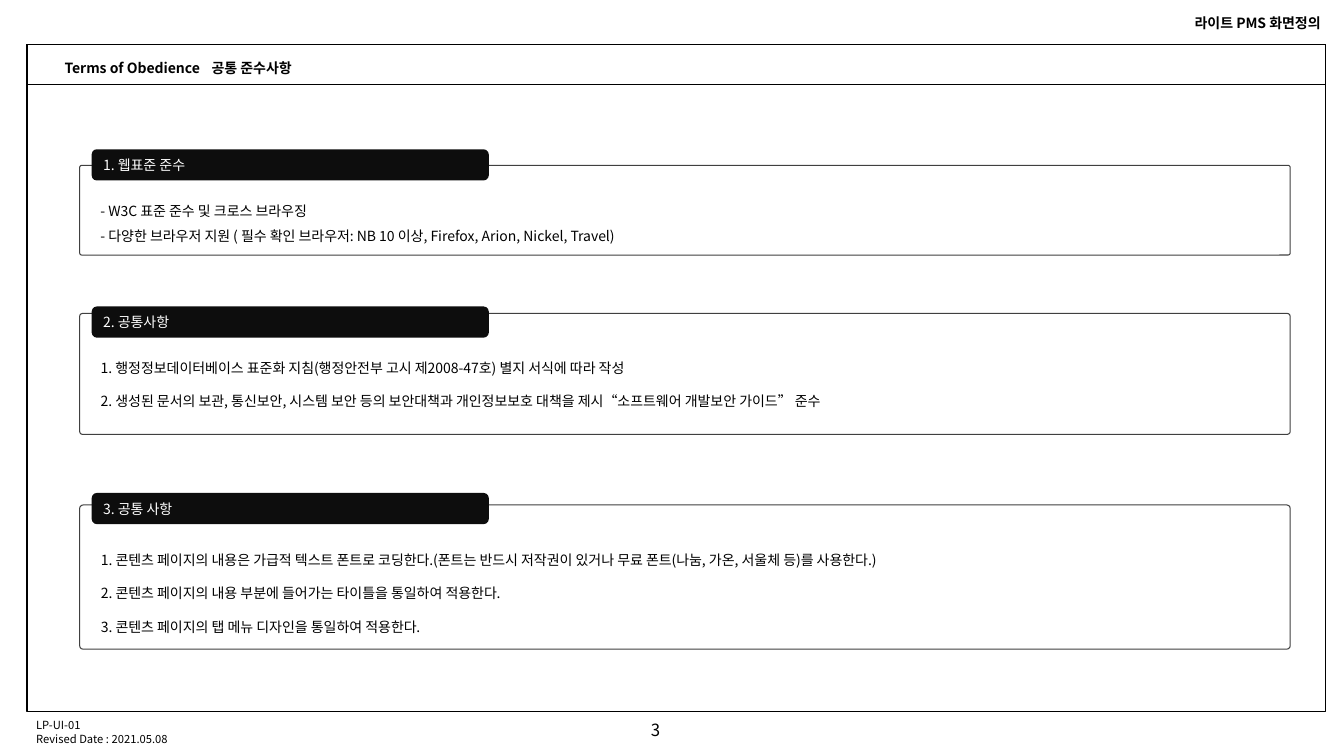
import pptx
import pptx.dml.color
import pptx.enum.shapes
import pptx.enum.text
import pptx.oxml.ns
import pptx.util
from lxml import etree

Pt = pptx.util.Pt
Kind = pptx.enum.shapes.MSO_SHAPE
Align = pptx.enum.text.PP_ALIGN
Anchor = pptx.enum.text.MSO_ANCHOR
qn = pptx.oxml.ns.qn

FACE = "Noto Sans CJK KR"
COLORS = {"ink": "000000", "edge": "404040", "tag": "0D0D0D", "paper": "FFFFFF"}
FLOW = {"word_wrap": True, "auto_size": pptx.enum.text.MSO_AUTO_SIZE.NONE,
        "vertical_anchor": Anchor.TOP, "margin_left": Pt(7.2),
        "margin_right": Pt(7.2), "margin_top": Pt(3.6), "margin_bottom": Pt(3.6)}
INSET = {"margin_left": Pt(14.4), "margin_top": Pt(20.2)}
LOWER = {**INSET, "margin_top": Pt(32.2)}
LABEL = {"word_wrap": False, "vertical_anchor": Anchor.MIDDLE}

PANELS = [
    ("1. 웹표준 준수", 106.6, 118.1, 64.1, INSET, {"line_spacing": 1.5}, 0, [
        "- W3C 표준 준수 및 크로스 브라우징",
        "- 다양한 브라우저 지원 ( 필수 확인 브라우저: NB 10 이상, Firefox, Arion, Nickel, Travel)"]),
    ("2. 공통사항", 218.9, 223.9, 86.4, LOWER, {}, 12, [
        "1. 행정정보데이터베이스 표준화 지침(행정안전부 고시 제2008-47호) 별지 서식에 따라 작성",
        "2. 생성된 문서의 보관, 통신보안, 시스템 보안 등의 보안대책과 개인정보보호 대책을 "
        "제시“소프트웨어 개발보안 가이드” 준수"]),
    ("3. 공통 사항", 352.1, 360.7, 103, INSET, {"line_spacing": 2.0}, 0, [
        "1. 콘텐츠 페이지의 내용은 가급적 텍스트 폰트로 코딩한다."
        "(폰트는 반드시 저작권이 있거나 무료 폰트(나눔, 가온, 서울체 등)를 사용한다.)",
        "2. 콘텐츠 페이지의 내용 부분에 들어가는 타이틀을 통일하여 적용한다.",
        "3. 콘텐츠 페이지의 탭 메뉴 디자인을 통일하여 적용한다."]),
]


def apply(target, values):
    for name, value in values.items():
        setattr(target, name, value)


def color(name):
    return pptx.dml.color.RGBColor.from_string(COLORS[name])


def write(shape, lines, size=10, ink="ink", bold=False, flow=None, para=None, gap=0):
    frame = shape.text_frame
    apply(frame, {**FLOW, **(flow or {})})
    for index, line in enumerate(lines):
        item = frame.paragraphs[0] if index == 0 else frame.add_paragraph()
        apply(item, {"alignment": Align.LEFT, "space_before": Pt(gap if index else 0),
                     **(para or {})})
        run = item.add_run()
        run.text = line
        apply(run.font, {"size": Pt(size), "bold": bold, "name": FACE})
        run.font.color.rgb = color(ink)
        etree.SubElement(run._r.get_or_add_rPr(), qn("a:ea"), typeface=FACE)


def note(slide, area, lines, **style):
    write(slide.shapes.add_textbox(*map(Pt, area)), lines, **style)


def block(slide, kind, area, fill=None, edge=None, width=0, round=None):
    shape = slide.shapes.add_shape(kind, *map(Pt, area))
    shape.shadow.inherit = False
    if round is not None:
        shape.adjustments[0] = round
    if fill:
        shape.fill.solid()
        shape.fill.fore_color.rgb = color(fill)
    else:
        shape.fill.background()
    if edge:
        shape.line.color.rgb = color(edge)
        shape.line.width = Pt(width)
    else:
        shape.line.fill.background()
    return shape


def head(slide, area, text):
    title = slide.shapes.title
    apply(title, dict(zip(("left", "top", "width", "height"), map(Pt, area))))
    write(title, [text], bold=True, para={"line_spacing": 1.0})
    props = title.text_frame.paragraphs[0]._p.get_or_add_pPr()
    tabs = etree.SubElement(props, qn("a:tabLst"))
    etree.SubElement(tabs, qn("a:tab"), pos=str(Pt(105)), algn="l")


def panel(slide, label, top, edge, height, flow, para, gap, lines):
    body = block(slide, Kind.ROUNDED_RECTANGLE, (56.9, edge, 864.7, height),
                 "paper", "edge", round=0.024)
    write(body, lines, flow=flow, para=para, gap=gap)
    tag = block(slide, Kind.ROUNDED_RECTANGLE, (65.5, top, 283.7, 22.3),
                "tag", round=0.167)
    write(tag, [label], ink="paper", flow=LABEL)


def main():
    deck = pptx.Presentation()
    apply(deck, {"slide_width": Pt(960), "slide_height": Pt(540)})
    slide = deck.slides.add_slide(deck.slide_layouts[5])
    note(slide, (774, 6.5, 176.4, 19.4), ["라이트 PMS 화면정의"],
         bold=True, para={"alignment": Align.RIGHT})
    note(slide, (18.7, 509.8, 108.7, 26.6),
         ["LP-UI-01", "Revised Date : 2021.05.08"], size=8)
    for height in (476.6, 28.8):
        block(slide, Kind.RECTANGLE, (19.4, 31.7, 927.4, height), edge="ink", width=1)
    head(slide, (38.9, 38.9, 311.8, 19.4), "Terms of Obedience\t공통 준수사항")
    note(slide, (457.9, 510.5, 36, 28.8), ["3"], size=12)
    for parts in PANELS:
        panel(slide, *parts)
    deck.save("out.pptx")


if __name__ == "__main__":
    main()
